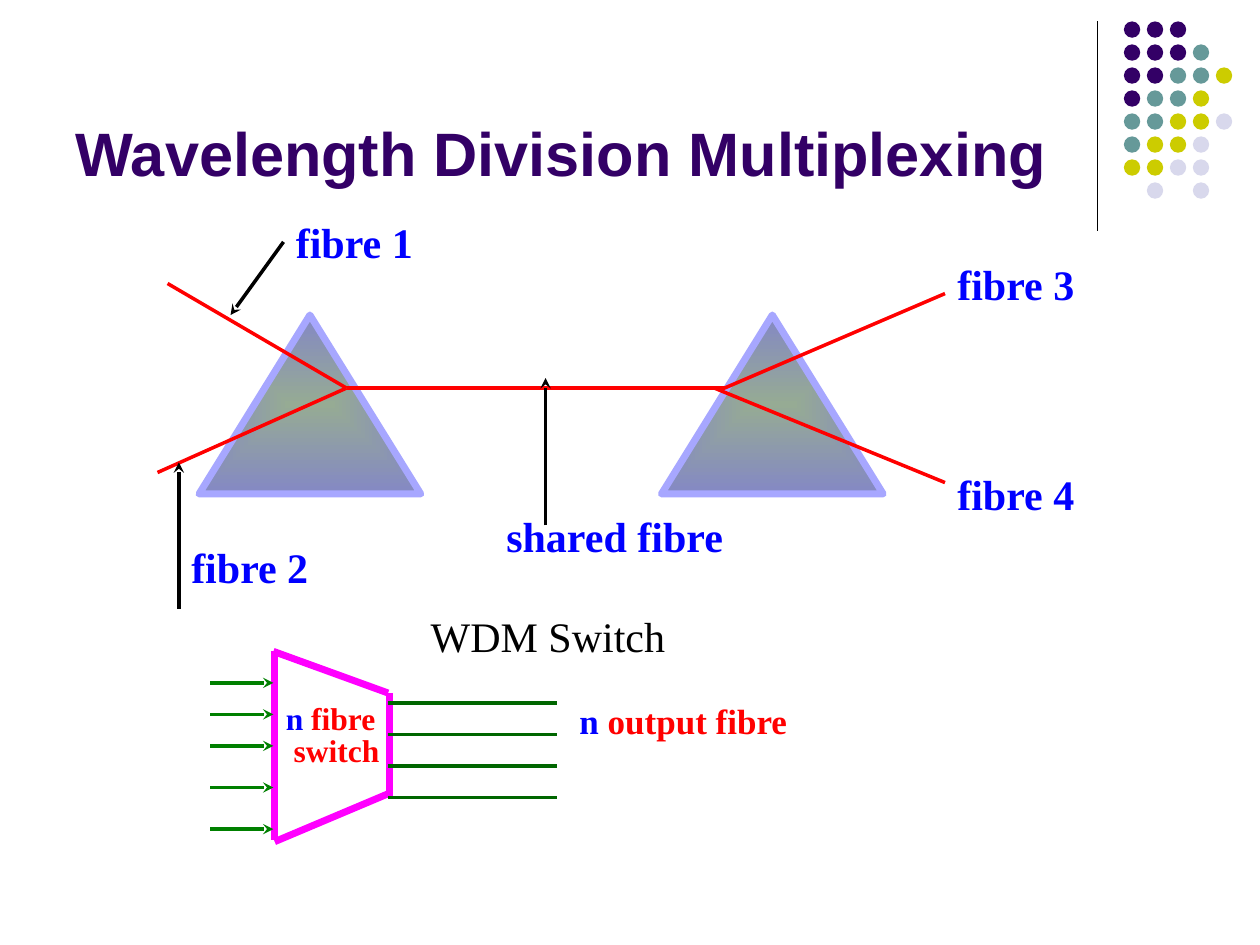
from typing import NamedTuple

from lxml.etree import SubElement
from pptx import Presentation
from pptx.dml.color import RGBColor
from pptx.enum.shapes import MSO_CONNECTOR, MSO_SHAPE
from pptx.enum.text import MSO_ANCHOR, MSO_AUTO_SIZE
from pptx.oxml.ns import qn
from pptx.util import Inches, Pt

PURPLE, BLACK, BLUE, RED = "330066", "000000", "0000FF", "FF0000"
MAGENTA, INPUT_GREEN, OUTPUT_GREEN = "FF00FF", "008000", "006600"
DOT_COLORS = {"P": PURPLE, "T": "669999", "Y": "CCCC00", "L": "D8D8EC"}
DOT_ROWS = ["PPP", "PPPT", "PPTTY", "PTTY", "TTYYL", "TYYL", "YYLL", " L L"]
DOT_PITCH = 0.73 / 4


class Line(NamedTuple):
    x1: float
    y1: float
    x2: float
    y2: float
    color: str
    width: float = 2
    arrow: bool = False


class Label(NamedTuple):
    text: str
    x: float
    y: float


FIBRES = [
    Line(2.75, 3.08, 5.75, 3.08, RED),
    Line(1.33, 2.25, 2.75, 3.08, RED),
    Line(2.75, 3.08, 1.25, 3.75, RED),
    Line(5.75, 3.08, 7.5, 2.33, RED),
    Line(7.5, 3.83, 5.67, 3.08, RED),
]
POINTERS = [
    Line(2.25, 1.92, 1.83, 2.5, BLACK, arrow=True),
    Line(4.33, 4.17, 4.33, 3, BLACK, arrow=True),
    Line(1.42, 4.83, 1.42, 3.67, BLACK, arrow=True),
]
SWITCH_SIDES = [
    Line(2.17, 5.17, 3.08, 5.5, MAGENTA, 4),
    Line(2.18, 6.68, 3.08, 6.3, MAGENTA, 4),
    Line(3.09, 5.5, 3.09, 6.33, MAGENTA, 4),
    Line(2.18, 5.17, 2.18, 6.67, MAGENTA, 4),
]
INPUTS = [Line(1.67, y, 2.17, y, INPUT_GREEN, arrow=True)
          for y in (5.42, 5.67, 5.92, 6.25, 6.58)]
OUTPUTS = [Line(3.08, y, 4.42, y, OUTPUT_GREEN)
           for y in (5.58, 5.83, 6.08, 6.33)]
FIBRE_LABELS = [
    Label("fibre 3", 7.5, 2),
    Label("fibre 4", 7.5, 3.67),
    Label("fibre 2", 1.42, 4.25),
    Label("shared fibre", 3.92, 4),
    Label("fibre 1", 2.25, 1.67),
]


def rgb(color: str) -> RGBColor:
    return RGBColor.from_string(color)


def add_line(s, line: Line) -> None:
    sp = s.shapes.add_connector(
        MSO_CONNECTOR.STRAIGHT, Inches(line.x1), Inches(line.y1),
        Inches(line.x2), Inches(line.y2))
    sp.line.color.rgb = rgb(line.color)
    sp.line.width = Pt(line.width)
    props = sp.line._get_or_add_ln()
    if line.arrow:
        SubElement(props, qn("a:tailEnd"), type="stealth")
    SubElement(props.getparent(), qn("a:effectLst"))


def add_dot(s, x: float, y: float, color: str) -> None:
    sp = s.shapes.add_shape(MSO_SHAPE.OVAL, Inches(x), Inches(y),
                            Inches(0.13), Inches(0.13))
    sp.shadow.inherit = False
    sp.fill.solid()
    sp.fill.fore_color.rgb = rgb(color)
    sp.line.fill.background()


def add_prism(s, x: float, y: float) -> None:
    """Draw a triangle shaded from its centre outwards."""
    sp = s.shapes.add_shape(MSO_SHAPE.ISOSCELES_TRIANGLE, Inches(x), Inches(y),
                            Inches(1.76), Inches(1.42))
    sp.shadow.inherit = False
    sp.line.color.rgb = rgb("A7A7FF")
    sp.line.width = Pt(4)
    sp.fill.gradient()
    for stop, color in zip(sp.fill.gradient_stops, ("96AB94", "8488C4")):
        stop.color.rgb = rgb(color)
    grad = sp._element.spPr.find(qn("a:gradFill"))
    grad.remove(grad.find(qn("a:lin")))
    shade = SubElement(grad, qn("a:path"), path="rect")
    SubElement(shade, qn("a:fillToRect"), l="50000", t="50000", r="50000", b="50000")


def add_text(s, paragraphs: list, x: float, y: float, w: float, h: float, *,
             size: float, font: str = "Times New Roman", bold: bool = True,
             before: float = 0, wrap: bool = True, anchor=MSO_ANCHOR.TOP,
             auto_size=MSO_AUTO_SIZE.SHAPE_TO_FIT_TEXT):
    """Add a text box; each paragraph is a list of (text, color) runs."""
    sp = s.shapes.add_textbox(Inches(x), Inches(y), Inches(w), Inches(h))
    tf = sp.text_frame
    tf.word_wrap = wrap
    tf.auto_size = auto_size
    tf.vertical_anchor = anchor
    for i, runs in enumerate(paragraphs):
        p = tf.add_paragraph() if i else tf.paragraphs[0]
        p.space_before = Pt(before)
        for text, color in runs:
            r = p.add_run()
            r.text = text
            r.font.name = font
            r.font.size = Pt(size)
            r.font.bold = bold
            r.font.color.rgb = rgb(color)
    return tf


def main() -> None:
    prs = Presentation()
    prs.slide_width, prs.slide_height = Inches(10), Inches(7.5)
    s = prs.slides.add_slide(prs.slide_layouts[6])

    add_line(s, Line(8.71, 0.17, 8.71, 1.83, BLACK, 0.75))
    for row, dots in enumerate(DOT_ROWS):
        for col, key in enumerate(dots):
            if key in DOT_COLORS:
                add_dot(s, 8.92 + col * DOT_PITCH, 0.17 + row * DOT_PITCH,
                        DOT_COLORS[key])
    add_text(s, [[("Wavelength Division Multiplexing", PURPLE)]],
             0.5, 0.13, 8.25, 1.42, size=35, font="Arial",
             anchor=MSO_ANCHOR.BOTTOM, auto_size=MSO_AUTO_SIZE.NONE)

    for x in (1.58, 5.25):
        add_prism(s, x, 2.5)
    for line in FIBRES + POINTERS + SWITCH_SIDES + INPUTS + OUTPUTS:
        add_line(s, line)
    for label in FIBRE_LABELS:
        add_text(s, [[(label.text, BLUE)]], label.x, label.y, 3.83, 0.5,
                 size=24, before=15)

    tf = add_text(s, [[("n ", BLUE), ("fibre", RED)], [(" switch", RED)]],
                  2.17, 5.5, 1.83, 0.62, size=18, before=11.2)
    tf.paragraphs[1].line_spacing = 0.2
    add_text(s, [[("n ", BLUE), ("output fibre", RED)]],
             4.5, 5.5, 3.92, 0.43, size=20, before=12.5)
    add_text(s, [[("WDM Switch", BLACK)]], 3.32, 4.8, 2.06, 0.5,
             size=24, bold=False, wrap=False)
    prs.save("out.pptx")


if __name__ == "__main__":
    main()
